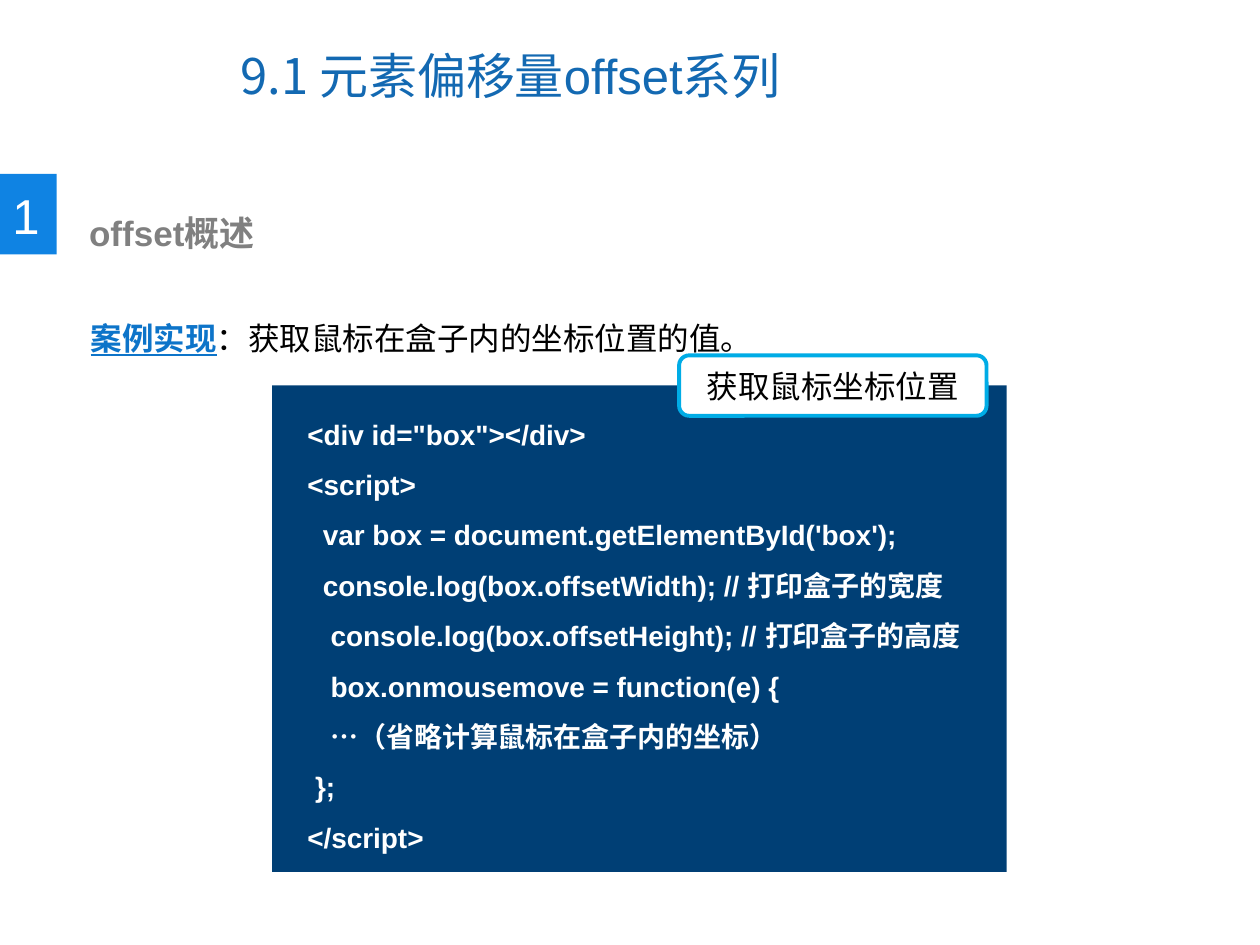
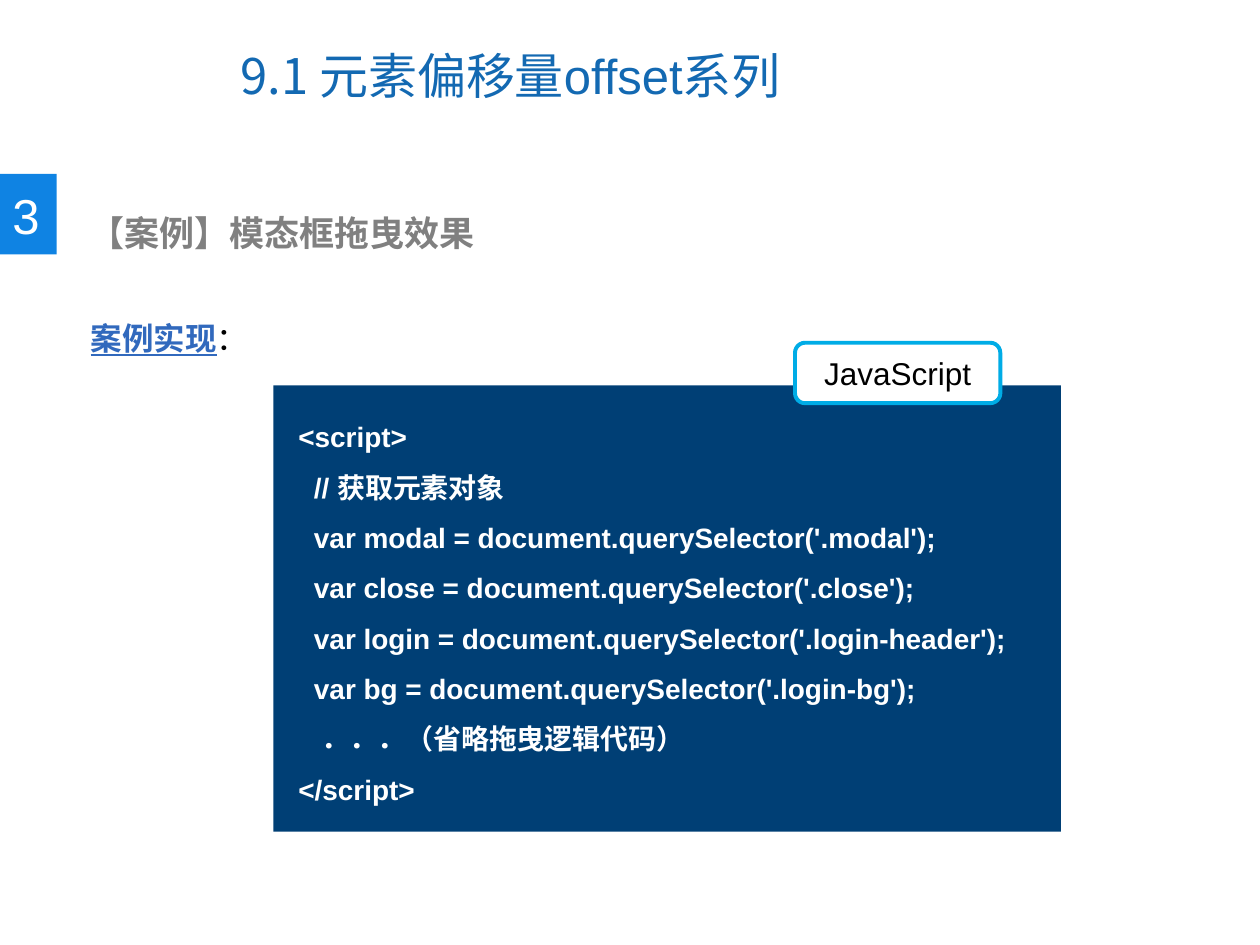
from pptx import Presentation
from pptx.dml.color import RGBColor
from pptx.enum.shapes import MSO_SHAPE
from pptx.enum.text import MSO_ANCHOR, PP_ALIGN
from pptx.oxml.ns import qn
from pptx.util import Pt
from lxml.etree import SubElement

PX = 9144  # 100 px to the inch
LATIN, CJK = "Arial", "Noto Sans CJK SC"
TITLE_BLUE, BADGE_BLUE, CODE_NAVY, LABEL_CYAN = "1369B2", "0F83E3", "003F75", "00ACE6"
WHITE, BLACK, GREY = "FFFFFF", "000000", "808080"
CODE_SPACE = 4.45  # width in points of one space of code


def px(*lengths):
    return [length * PX for length in lengths]


def rgb(value):
    return RGBColor.from_string(value)


def add_run(paragraph, text, size=18, color=BLACK, font=LATIN, bold=False, underline=False):
    run = paragraph.add_run()
    run.text = text
    run.font.size = Pt(size)
    run.font.bold = bold
    run.font.underline = underline
    run.font.name = font
    run.font.color.rgb = rgb(color)
    SubElement(run.font._element, qn("a:ea")).set("typeface", CJK)


def indent(paragraph, points):
    paragraph._p.get_or_add_pPr().set("marL", str(Pt(points)))


class LessonDeck:
    def __init__(self):
        self.presentation = Presentation()
        self.presentation.slide_width, self.presentation.slide_height = px(1000, 750)
        self.slide = None

    def start_slide(self, number, heading):
        """Add a slide with the chapter title, section badge and heading."""
        self.slide = self.presentation.slides.add_slide(self.presentation.slide_layouts[6])
        title_frame = self.text_frame(181, 17, 516, 85)
        title_frame.vertical_anchor = MSO_ANCHOR.MIDDLE
        title = title_frame.paragraphs[0]
        add_run(title, "9.1 ", size=28, color=TITLE_BLUE, font=CJK)
        add_run(title, "元素偏移量offset系列", size=28, color=TITLE_BLUE)

        self.block(0, 138, 45, 64, BADGE_BLUE)
        badge = self.text_frame(0, 142, 42, 57, wrap=False)
        add_run(badge.paragraphs[0], number, size=28, color=WHITE)

        section = self.text_frame(47, 163, 514, 44).paragraphs[0]
        indent(section, 10)
        add_run(section, heading, size=20, color=GREY, bold=True)

    def text_frame(self, left, top, width, height, wrap=True):
        frame = self.slide.shapes.add_textbox(*px(left, top, width, height)).text_frame
        frame.word_wrap = wrap
        return frame

    def block(self, left, top, width, height, fill, line=None, preset=MSO_SHAPE.RECTANGLE):
        shape = self.slide.shapes.add_shape(preset, *px(left, top, width, height))
        shape.shadow.inherit = False
        shape.fill.solid()
        shape.fill.fore_color.rgb = rgb(fill)
        if line:
            shape.line.color.rgb = rgb(line)
            shape.line.width = Pt(2.25)
        else:
            shape.line.fill.background()
        return shape

    def task(self, description, color):
        paragraph = self.text_frame(62, 218, 865, 71).paragraphs[0]
        paragraph.line_spacing = 2.0
        add_run(paragraph, "案例实现", color=color, bold=True, underline=True)
        add_run(paragraph, description)

    def code(self, panel, listing, lines):
        """Draw a navy panel with code lines given as (leading spaces, text)."""
        self.block(*panel, CODE_NAVY)
        frame = self.text_frame(*listing)
        for index, (spaces, text) in enumerate(lines):
            paragraph = frame.add_paragraph() if index else frame.paragraphs[0]
            paragraph.line_spacing = 1.5
            indent(paragraph, spaces * CODE_SPACE)
            add_run(paragraph, text, size=16, color=WHITE, bold=True)

    def label(self, left, top, width, text):
        shape = self.block(left, top, width, 48, WHITE, LABEL_CYAN, MSO_SHAPE.ROUNDED_RECTANGLE)
        paragraph = shape.text_frame.paragraphs[0]
        paragraph.alignment = PP_ALIGN.CENTER
        add_run(paragraph, text)


def main():
    deck = LessonDeck()

    deck.start_slide("1", "offset概述")
    deck.task("：获取鼠标在盒子内的坐标位置的值。", "0D74C9")
    deck.code((216, 306, 583, 386), (234, 313, 565, 370), [
        (0, '<div id="box"></div>'),
        (0, "<script>"),
        (2, "var box = document.getElementById('box');"),
        (2, "console.log(box.offsetWidth); // 打印盒子的宽度"),
        (3, "console.log(box.offsetHeight); // 打印盒子的高度"),
        (3, "box.onmousemove = function(e) {"),
        (3, "…（省略计算鼠标在盒子内的坐标）"),
        (1, "};"),
        (0, "</script>"),
    ])
    deck.label(539, 282, 244, "获取鼠标坐标位置")

    deck.start_slide("3", "【案例】模态框拖曳效果")
    deck.task("：", "3169BD")
    deck.code((217, 306, 625, 354), (227, 315, 614, 328), [
        (0, "<script>"),
        (2, "// 获取元素对象"),
        (2, "var modal = document.querySelector('.modal');"),
        (2, "var close = document.querySelector('.close');"),
        (2, "var login = document.querySelector('.login-header');"),
        (2, "var bg = document.querySelector('.login-bg');"),
        (3, "．．．（省略拖曳逻辑代码）"),
        (0, "</script>"),
    ])
    deck.label(631, 272, 163, "JavaScript")

    deck.presentation.save("out.pptx")


if __name__ == "__main__":
    main()
